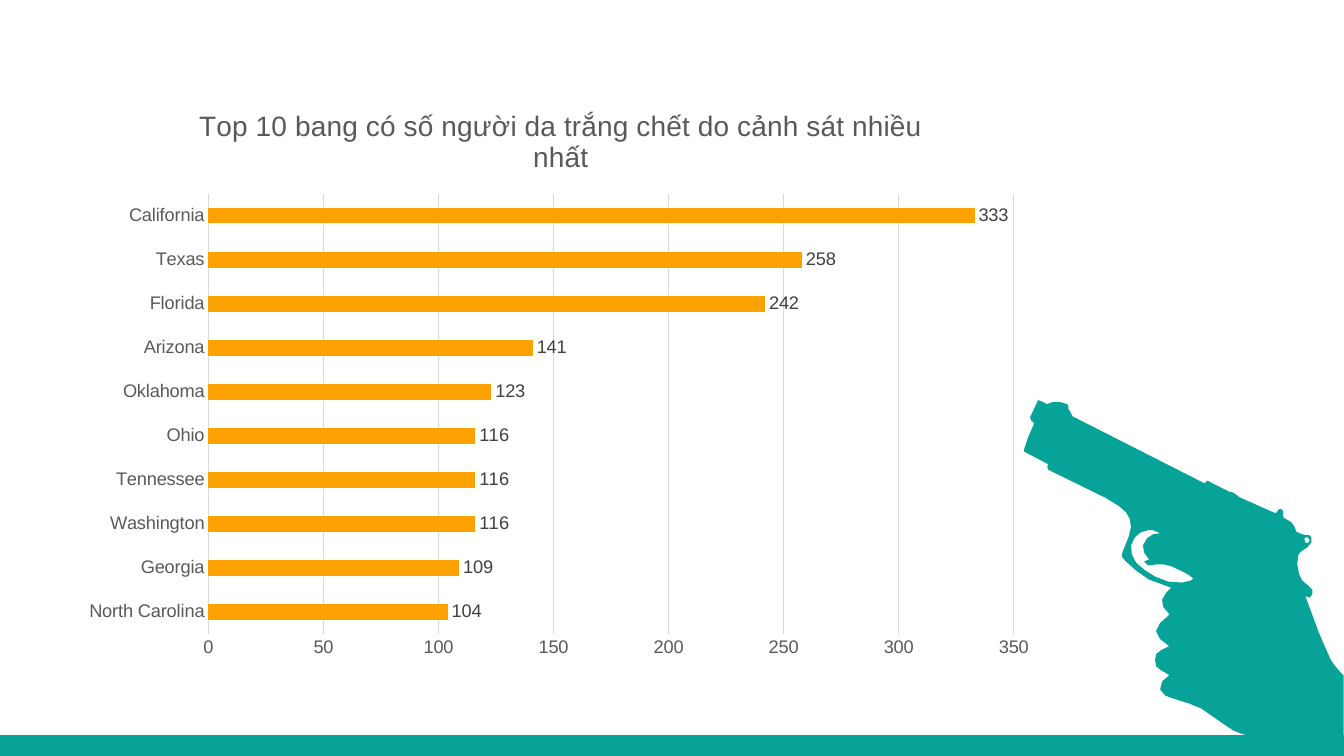
from lxml.etree import SubElement
from pptx import Presentation
from pptx.chart.data import CategoryChartData
from pptx.dml.color import RGBColor
from pptx.enum.chart import XL_CHART_TYPE, XL_LABEL_POSITION, XL_TICK_MARK
from pptx.enum.shapes import MSO_SHAPE
from pptx.oxml.ns import qn
from pptx.util import Pt

TITLE = "Top 10 bang có số người da trắng chết do cảnh sát nhiều nhất"
DEATHS = {
    "California": 333,
    "Texas": 258,
    "Florida": 242,
    "Arizona": 141,
    "Oklahoma": 123,
    "Ohio": 116,
    "Tennessee": 116,
    "Washington": 116,
    "Georgia": 109,
    "North Carolina": 104,
}

GUN_AND_HAND = [
    (1030, 397), (1033, 398), (1039, 401), (1041, 400), (1044, 399), (1052, 399),
    (1059, 401), (1060, 403), (1060, 406), (1061, 407), (1063, 411), (1064, 413),
    (1194, 479), (1196, 479), (1197, 477), (1199, 477), (1200, 478), (1220, 488),
    (1222, 488), (1227, 491), (1229, 493), (1265, 509), (1266, 509), (1269, 505),
    (1271, 505), (1273, 507), (1273, 512), (1274, 514), (1276, 515), (1281, 518),
    (1284, 522), (1286, 527), (1287, 528), (1292, 530), (1296, 531), (1299, 531),
    (1301, 533), (1301, 538), (1297, 543), (1291, 547), (1289, 549), (1288, 551),
    (1287, 560), (1289, 570), (1292, 576), (1298, 581), (1302, 585), (1302, 589),
    (1301, 591), (1299, 593), (1297, 592), (1295, 592), (1296, 594), (1309, 629),
    (1320, 654), (1324, 660), (1330, 667), (1333, 670), (1333, 730), (1328, 742),
    (1261, 741), (1256, 738), (1243, 731), (1232, 728), (1224, 725), (1215, 719),
    (1192, 703), (1180, 698), (1164, 693), (1156, 690), (1151, 684), (1153, 676),
    (1160, 670), (1159, 669), (1152, 665), (1147, 661), (1146, 655), (1147, 649),
    (1152, 645), (1160, 641), (1151, 634), (1147, 626), (1151, 618), (1159, 611),
    (1160, 609), (1154, 602), (1153, 595), (1157, 588), (1162, 583), (1140, 575),
    (1127, 566), (1116, 556), (1113, 552), (1113, 550), (1114, 547), (1120, 532),
    (1122, 523), (1121, 515), (1117, 508), (1110, 502), (1097, 494), (1040, 466),
    (1039, 463), (1040, 462), (1039, 460), (1016, 448), (1016, 446), (1020, 434),
    (1026, 420), (1023, 417), (1022, 414), (1029, 399),
]
TRIGGER_GUARD = [
    (1139, 526), (1132, 528), (1126, 533), (1122, 541), (1123, 550), (1127, 558),
    (1135, 565), (1146, 572), (1159, 577), (1173, 578), (1181, 576), (1184, 574),
    (1179, 570), (1171, 566), (1163, 562), (1155, 560), (1147, 560), (1139, 561),
    (1135, 557), (1140, 555), (1135, 548), (1134, 541), (1138, 534), (1144, 530),
    (1151, 529), (1144, 526),
]
HAMMER_HOLE = [
    (1295, 533), (1294, 535), (1295, 538), (1297, 539), (1299, 537), (1299, 535),
    (1297, 533),
]
OUTLINE_UNIT = Pt(0.72)

TEAL = RGBColor(0x07, 0xA3, 0x98)
ORANGE = RGBColor(0xFB, 0xA2, 0x00)
GRID_GREY = RGBColor(0xD9, 0xD9, 0xD9)
AXIS_GREY = RGBColor(0x59, 0x59, 0x59)
LABEL_GREY = RGBColor(0x40, 0x40, 0x40)
FONT = "Arial"

SLIDE_W, SLIDE_H = 960, 540
FOOTER_H = 15
PLOT_AREA = {"x": 0.14, "y": 0.185, "w": 0.823, "h": 0.753}


def paint(shape):
    shape.shadow.inherit = False
    shape.fill.solid()
    shape.fill.fore_color.rgb = TEAL
    shape.line.fill.background()


def set_font(font, size, color):
    font.name = FONT
    font.size = Pt(size)
    font.bold = False
    font.color.rgb = color


def style_line(line):
    line.color.rgb = GRID_GREY
    line.width = Pt(0.75)


def place_plot(chart):
    plot_area = chart.plots[0]._element.getparent()
    for old_layout in plot_area.findall(qn("c:layout")):
        plot_area.remove(old_layout)
    layout = SubElement(plot_area, qn("c:layout"))
    plot_area.insert(0, layout)
    manual = SubElement(layout, qn("c:manualLayout"))
    settings = {"layoutTarget": "inner", "xMode": "edge", "yMode": "edge", **PLOT_AREA}
    for tag, value in settings.items():
        SubElement(manual, qn(f"c:{tag}")).set("val", str(value))


def add_gun(slide):
    contours = [GUN_AND_HAND, TRIGGER_GUARD, HAMMER_HOLE]
    builder = slide.shapes.build_freeform(*GUN_AND_HAND[0], scale=OUTLINE_UNIT)
    for number, contour in enumerate(contours):
        if number:
            builder.move_to(*contour[0])
        builder.add_line_segments(contour[1:], close=True)
    paint(builder.convert_to_shape())


def add_deaths_chart(slide):
    states = list(reversed(DEATHS))
    data = CategoryChartData()
    data.categories = states
    data.add_series("Series 1", [DEATHS[state] for state in states])
    chart = slide.shapes.add_chart(
        XL_CHART_TYPE.BAR_CLUSTERED, Pt(51), Pt(61), Pt(699), Pt(418), data
    ).chart
    set_font(chart.font, 13, AXIS_GREY)
    chart.has_legend = False
    chart.has_title = True
    heading = chart.chart_title.text_frame
    heading.text = TITLE
    set_font(heading.paragraphs[0].runs[0].font, 20, AXIS_GREY)
    chart.chart_title.include_in_layout = False

    for axis in (chart.category_axis, chart.value_axis):
        axis.major_tick_mark = XL_TICK_MARK.NONE
        axis.minor_tick_mark = XL_TICK_MARK.NONE
        set_font(axis.tick_labels.font, 13, AXIS_GREY)
    style_line(chart.category_axis.format.line)
    deaths_axis = chart.value_axis
    deaths_axis.minimum_scale = 0
    deaths_axis.maximum_scale = 350
    deaths_axis.major_unit = 50
    deaths_axis.format.line.fill.background()
    deaths_axis.has_major_gridlines = True
    style_line(deaths_axis.major_gridlines.format.line)

    plot = chart.plots[0]
    plot.gap_width = 182
    plot.vary_by_categories = False
    bars = plot.series[0]
    bars.format.fill.solid()
    bars.format.fill.fore_color.rgb = ORANGE
    labels = bars.data_labels
    labels.show_value = True
    labels.position = XL_LABEL_POSITION.OUTSIDE_END
    set_font(labels.font, 13, LABEL_GREY)
    place_plot(chart)


def main():
    deck = Presentation()
    deck.slide_width, deck.slide_height = Pt(SLIDE_W), Pt(SLIDE_H)
    slide = deck.slides.add_slide(deck.slide_layouts[6])
    footer = slide.shapes.add_shape(
        MSO_SHAPE.RECTANGLE, 0, Pt(SLIDE_H - FOOTER_H), Pt(SLIDE_W), Pt(FOOTER_H)
    )
    paint(footer)
    add_gun(slide)
    add_deaths_chart(slide)
    deck.save("out.pptx")


if __name__ == "__main__":
    main()
